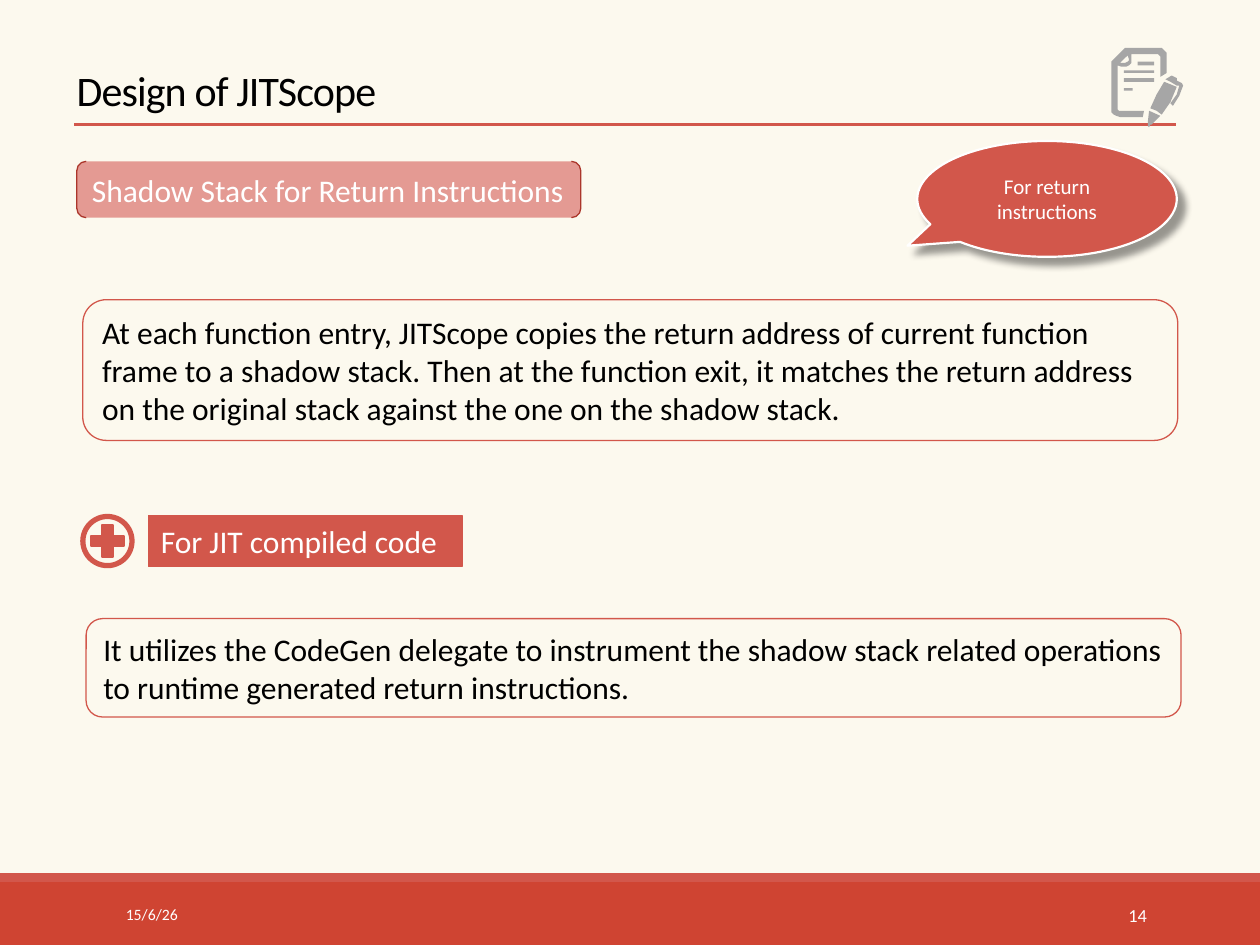
from lxml import etree
from pptx import Presentation
from pptx.dml.color import RGBColor
from pptx.enum.shapes import MSO_CONNECTOR, MSO_SHAPE
from pptx.enum.text import MSO_ANCHOR, PP_ALIGN
from pptx.oxml.ns import qn
from pptx.util import Pt

RECT, ROUND, BRACKETS = MSO_SHAPE.RECTANGLE, MSO_SHAPE.ROUNDED_RECTANGLE, MSO_SHAPE.DOUBLE_BRACKET
CALLOUT, OVAL, PLUS = MSO_SHAPE.OVAL_CALLOUT, MSO_SHAPE.OVAL, MSO_SHAPE.MATH_PLUS
LEFT, CENTER, RIGHT = PP_ALIGN.LEFT, PP_ALIGN.CENTER, PP_ALIGN.RIGHT
MIDDLE, BOTTOM = MSO_ANCHOR.MIDDLE, MSO_ANCHOR.BOTTOM

FONT = "Calibri"
COLORS = {
    "paper": "FCF9EE", "footer": "CF4432", "accent": "D2574B", "tag": "E49A93",
    "tag edge": "AB362B", "icon": "A6A6A6", "white": "FFFFFF", "black": "000000",
}

# Text boxes: text, (left, top, width, height), size, colour, alignment, anchor
TITLE = ("Design of JITScope", (36.7, 25.9, 540, 43.2), 24, "black", LEFT, BOTTOM)
FOOTER = [
    ("15/6/26", (64.8, 508.3, 146.2, 28.8), 9, "white", LEFT, MIDDLE),
    ("14", (584.6, 508.3, 77.8, 28.8), 10.5, "white", RIGHT, MIDDLE),
]
# Bars: box, fill
BARS = [((0, 504, 720, 36), "footer"), ((0, 499, 720, 5), "accent")]
# Panels: preset, text, box, fill, line, text colour
TAG = (BRACKETS, "Shadow Stack for Return Instructions",
       (43.9, 92.2, 288, 32.2), "tag", "tag edge", "white")
PANELS = [
    (ROUND, "At each function entry, JITScope copies the return address of current "
     "function frame to a shadow stack. Then at the function exit, it matches the "
     "return address on the original stack against the one on the shadow stack.",
     (47.3, 171.3, 625.7, 80.4), None, "accent", "black"),
    (RECT, "For JIT compiled code", (84.8, 294.7, 179.2, 29.1), "accent", "accent", "white"),
    (ROUND, "It utilizes the CodeGen delegate to instrument the shadow stack related "
     "operations to runtime generated return instructions.",
     (49.2, 353.5, 625.7, 56.2), None, "accent", "black"),
]
CALLOUT_TEXT, CALLOUT_BOX, CALLOUT_TIP = "For return instructions", (524.2, 80.6, 148.3, 66.2), (-0.538, 0.404)
PLUS_CENTER, RING_SIZE, PLUS_SIZE = (61.4, 309.2), 28.1, 25.2
RULE = (42.5, 71.3, 671.8, 71.3)

# Note-and-pen icon: outlines on a grid of 0.72 pt
ICON_STEP = 0.72
ICON_LINES = [(892, 70, 899, 72), (892, 62, 916, 65), (892, 56, 916, 58), (903, 49, 916, 52)]
ICON_OUTLINES = [
    # sheet
    [(895, 38), (919, 38), (922, 38.5), (924, 40), (925.5, 42), (926, 45), (926, 58),
     (921, 61), (921, 45), (920.5, 43.8), (919, 43), (898, 43), (898, 47), (897.5, 50),
     (896, 52), (894, 53), (890, 53), (887, 52), (887, 87), (888, 88), (908, 88),
     (907, 93), (889, 93), (886, 92.5), (884, 91), (882.5, 89), (882, 87), (882, 49),
     (893, 38)],
    # pen clip
    [(934, 64), (934, 62), (930, 60), (925, 63), (929, 65), (934, 68), (936, 68),
     (933.5, 75), (929, 82), (931, 84), (936, 76), (939, 68), (938, 66)],
    # pen body
    [(924, 65), (917.5, 75), (913, 86), (917.5, 88), (922, 91), (929, 81), (934, 69),
     (929, 67)],
    # pen nib
    [(912, 88), (911, 97), (911, 100), (912, 101), (913, 99), (914, 99), (921, 92)],
    # folded corner
    [(889, 50), (893, 50), (895, 49), (896, 48), (896, 47), (895, 44)],
] + [[(l, t), (r, t), (r, b), (l, b)] for l, t, r, b in ICON_LINES]


def rgb(name):
    return RGBColor.from_string(COLORS[name])


def paint(shape, fill, line=None, weight=0.75):
    shape.shadow.inherit = False
    if fill:
        shape.fill.solid()
        shape.fill.fore_color.rgb = rgb(fill)
    else:
        shape.fill.background()
    if line:
        shape.line.color.rgb = rgb(line)
        shape.line.width = Pt(weight)
    else:
        shape.line.fill.background()


def write(shape, text, size, color, align=LEFT, anchor=MIDDLE):
    frame = shape.text_frame
    frame.word_wrap = True
    frame.vertical_anchor = anchor
    frame.text = text
    paragraph = frame.paragraphs[0]
    paragraph.alignment = align
    font = paragraph.runs[0].font
    font.name, font.size, font.color.rgb = FONT, Pt(size), rgb(color)
    return paragraph


def add_shape(preset, box, fill, line=None, weight=0.75):
    shape = slide.shapes.add_shape(preset, *map(Pt, box))
    paint(shape, fill, line, weight)
    return shape


def add_text(text, box, *style):
    return write(slide.shapes.add_textbox(*map(Pt, box)), text, *style)


def add_panel(preset, text, box, fill, line, color):
    panel = add_shape(preset, box, fill, line)
    write(panel, text, 18, color)
    return panel


def add_centered(preset, size, *style):
    x, y = PLUS_CENTER
    add_shape(preset, (x - size / 2, y - size / 2, size, size), *style)


prs = Presentation()
prs.slide_width, prs.slide_height = Pt(720), Pt(540)
slide = prs.slides.add_slide(prs.slide_layouts[6])
slide.background.fill.solid()
slide.background.fill.fore_color.rgb = rgb("paper")

# Footer
for box, fill in BARS:
    add_shape(RECT, box, fill)
for entry in FOOTER:
    add_text(*entry)

# Title and rule
title = add_text(*TITLE)
title.line_spacing = 0.85
title.runs[0].font._element.set("spc", "-50")
rule = slide.shapes.add_connector(MSO_CONNECTOR.STRAIGHT, *map(Pt, RULE))
rule.line.color.rgb = rgb("accent")
rule.line.width = Pt(1.5)
etree.SubElement(rule._element.spPr, qn("a:effectLst"))

# Icon
builder = slide.shapes.build_freeform(*ICON_OUTLINES[0][0], scale=Pt(ICON_STEP))
for number, outline in enumerate(ICON_OUTLINES):
    if number:
        builder.move_to(*outline[0])
    builder.add_line_segments(outline[1:], close=True)
# The grid counts x from the left edge of the slide
paint(builder.convert_to_shape(), "icon")

# Tag and panels
tag = add_panel(*TAG)
tag.text_frame.margin_right = Pt(3)
for panel in PANELS:
    add_panel(*panel)

# Callout with a soft shadow
callout = add_shape(CALLOUT, CALLOUT_BOX, "accent", "white", 1.25)
callout.adjustments[0], callout.adjustments[1] = CALLOUT_TIP
write(callout, CALLOUT_TEXT, 12, "white", CENTER)
effects = callout._element.spPr.find(qn("a:effectLst"))
shadow = etree.SubElement(effects, qn("a:outerShdw"), blurRad=str(Pt(4)), dist=str(Pt(6)),
                          dir="2700000", rotWithShape="0")
shade = etree.SubElement(shadow, qn("a:srgbClr"), val=COLORS["black"])
etree.SubElement(shade, qn("a:alpha"), val="40000")

# Plus in a ring
add_centered(OVAL, RING_SIZE, None, "accent", 3)
add_centered(PLUS, PLUS_SIZE, "accent", "accent", 1.25)

prs.save("out.pptx")
